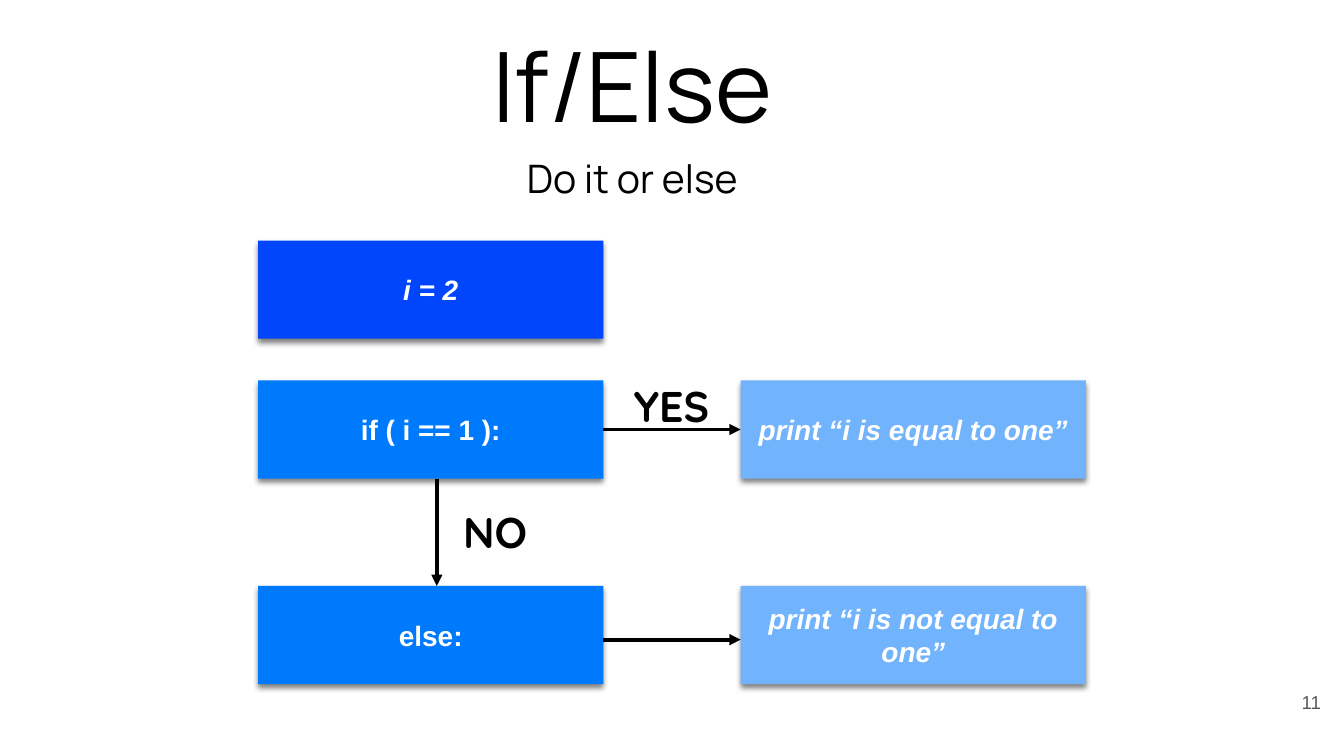
from lxml.etree import SubElement
from pptx import Presentation
from pptx.dml.color import RGBColor
from pptx.enum.shapes import MSO_CONNECTOR, MSO_SHAPE
from pptx.enum.text import MSO_ANCHOR, MSO_AUTO_SIZE, PP_ALIGN
from pptx.oxml.ns import qn
from pptx.util import Pt

BLACK = "000000"
WHITE = "FFFFFF"
INSET = 2.88
BOX_WIDTH, BOX_HEIGHT = 185, 52.6


def color(value):
    return RGBColor.from_string(value)


def write(shape, text, size, font, ink=BLACK, bold=False, italic=False,
          align=PP_ALIGN.CENTER, anchor=MSO_ANCHOR.MIDDLE):
    frame = shape.text_frame
    frame.text = text
    frame.word_wrap = True
    frame.auto_size = MSO_AUTO_SIZE.NONE
    frame.vertical_anchor = anchor
    frame.margin_left = frame.margin_right = Pt(INSET)
    frame.margin_top = frame.margin_bottom = Pt(INSET)
    para = frame.paragraphs[0]
    para.alignment = align
    span = para.runs[0].font
    span.name, span.size = font, Pt(size)
    span.bold, span.italic = bold, italic
    span.color.rgb = color(ink)


def add_label(page, box, text, size, font, **style):
    label = page.shapes.add_textbox(*map(Pt, box))
    write(label, text, size, font, **style)


def add_shadow(shape):
    """Cast a soft shadow straight down."""
    shape.shadow.inherit = False
    effects = shape._element.spPr.find(qn("a:effectLst"))
    shadow = SubElement(effects, qn("a:outerShdw"), blurRad=str(Pt(3)),
                        dist=str(Pt(2)), dir="5400000", rotWithShape="0")
    tint = SubElement(shadow, qn("a:srgbClr"), val=BLACK)
    SubElement(tint, qn("a:alpha"), val="50000")


def add_step(page, left, top, text, fill, italic=False):
    step = page.shapes.add_shape(MSO_SHAPE.RECTANGLE, Pt(left), Pt(top),
                                 Pt(BOX_WIDTH), Pt(BOX_HEIGHT))
    step.fill.solid()
    step.fill.fore_color.rgb = color(fill)
    step.line.fill.background()
    add_shadow(step)
    write(step, text, 15, "Arial", WHITE, bold=True, italic=italic)
    return step


def add_arrow(page, start, end):
    arrow = page.shapes.add_connector(MSO_CONNECTOR.STRAIGHT,
                                      *map(Pt, (*start, *end)))
    arrow.line.width = Pt(2)
    arrow.line.color.rgb = color(BLACK)
    SubElement(arrow.line._get_or_add_ln(), qn("a:tailEnd"), type="triangle")
    SubElement(arrow._element.spPr, qn("a:effectLst"))
    return arrow


def add_heading(page, box):
    left, top, width, height = box
    title = page.shapes.title
    title.left, title.top = Pt(left), Pt(top)
    title.width, title.height = Pt(width), Pt(height)
    write(title, "If/Else", 52, "Manrope")
    subtitle_width = 156.24
    add_label(page, (left + (width - subtitle_width) / 2, top + 82.8,
                     subtitle_width, 24.48), "Do it or else", 21, "Manrope")


def add_flowchart(page, box):
    left, top, width, height = box
    right = left + width - BOX_WIDTH
    test_top = top + 74.9
    else_top = top + height - BOX_HEIGHT

    add_step(page, left, top, "i = 2", "0146FD", italic=True)
    test = add_step(page, left, test_top, "if ( i == 1 ):", "007AFD")
    add_step(page, left, else_top, "else:", "007AFD")
    equal = add_step(page, right, test_top, "print “i is equal to one”",
                     "71B3FC", italic=True)
    add_step(page, right, else_top, "print “i is not equal to one”",
             "71B3FC", italic=True)

    gap_left = left + BOX_WIDTH
    test_middle = test_top + BOX_HEIGHT / 2
    yes = add_arrow(page, (gap_left, test_middle), (right, test_middle))
    yes.begin_connect(test, 3)
    yes.end_connect(equal, 1)
    down = left + BOX_WIDTH / 2 + 3.2
    add_arrow(page, (down, test_top + BOX_HEIGHT), (down, else_top))
    across = else_top + BOX_HEIGHT / 2 + 2.5
    add_arrow(page, (gap_left, across), (right, across))

    for text, x, y in (("YES", gap_left + 8, test_top),
                       ("NO", down + 2.9, test_top + 67.7)):
        add_label(page, (x, y, 56.9, 26.6), text, 23, "Quicksand", bold=True)


def add_page_number(page, box):
    add_label(page, box, "11", 10, "Arial", ink="595959",
              align=PP_ALIGN.RIGHT, anchor=MSO_ANCHOR.TOP)


def main():
    deck = Presentation()
    deck.slide_width, deck.slide_height = Pt(720), Pt(405)
    page = deck.slides.add_slide(deck.slide_layouts[5])
    page.background.fill.solid()
    page.background.fill.fore_color.rgb = color(WHITE)
    add_heading(page, (10, 0, 657.4, 90))
    add_flowchart(page, (138.3, 128.9, 443.5, 237.6))
    add_page_number(page, (667.4, 367.2, 43.2, 31))
    deck.save("out.pptx")


if __name__ == "__main__":
    main()
